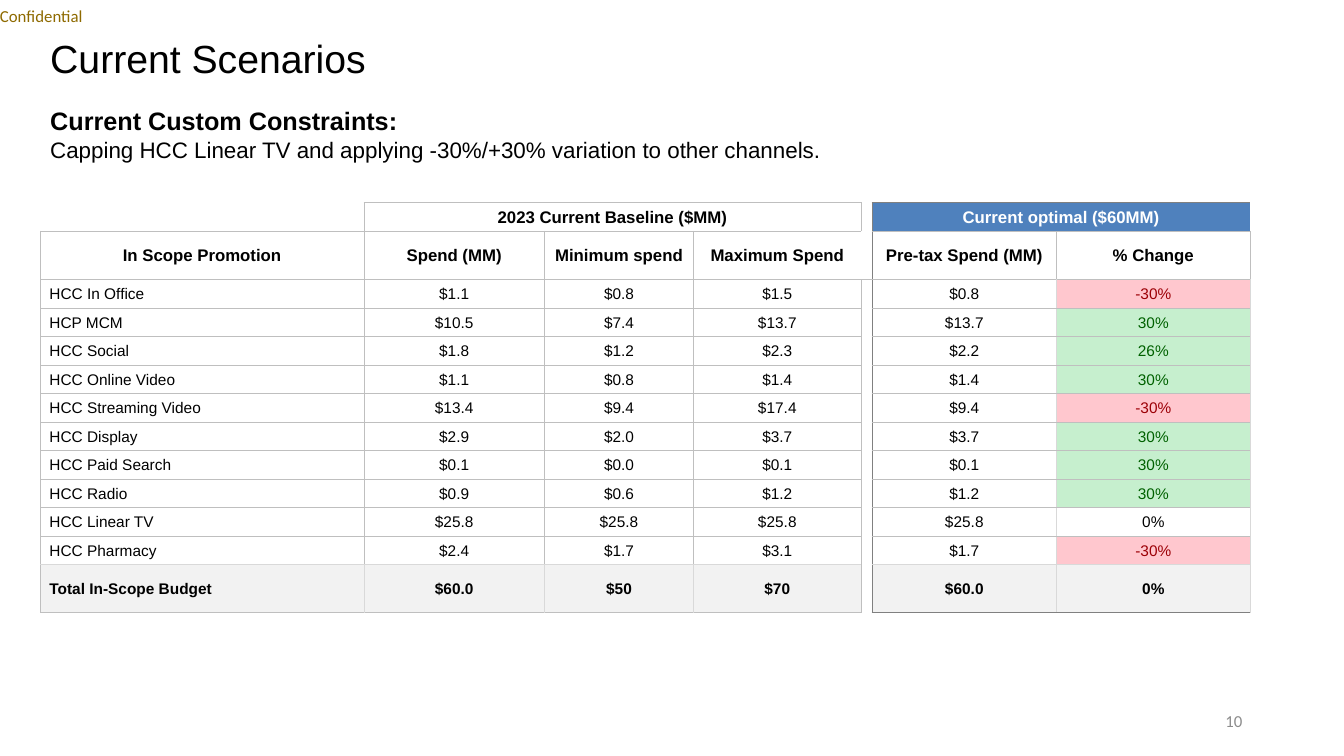
"""Build the Current Scenarios slide with its budget table."""
from lxml import etree
from pptx import Presentation, util as u
from pptx.dml.color import RGBColor
from pptx.enum import text as t
from pptx.oxml import ns

BLACK, GREY, PALE, DARK = "000000", "BFBFBF", "D9D9D9", "808080"
LEFT, CENTER, RIGHT = t.PP_ALIGN.LEFT, t.PP_ALIGN.CENTER, t.PP_ALIGN.RIGHT
TOP, MIDDLE = t.MSO_ANCHOR.TOP, t.MSO_ANCHOR.MIDDLE

TEXTS = [
    {"at": (0, 0, 1.17, 0.32), "inset": (0, 0, 0, 0), "anchor": MIDDLE, "align": LEFT,
     "lines": [("Confidential", {"name": "Calibri", "size": 12}, "8E6A00")]},
    {"at": (0.4, 0.4, 12, 0.4), "inset": (0.1, 0.05, 0.1, 0.05), "anchor": MIDDLE, "align": LEFT,
     "spacing": 0.9, "lines": [("Current Scenarios", {"name": "Arial", "size": 28}, BLACK)]},
    {"at": (9.42, 6.95, 3, 0.4), "inset": (0.1, 0.05, 0.1, 0.05), "anchor": MIDDLE, "align": RIGHT,
     "lines": [("10", {"name": "Calibri", "size": 12}, "8C8C8C")]},
    {"at": (0.4, 1, 12, 0.67), "inset": (0.1, 0.05, 0.1, 0.05), "anchor": TOP, "align": LEFT,
     "lines": [("Current Custom Constraints:", {"name": "Arial", "size": 18, "bold": True}, BLACK),
               ("Capping HCC Linear TV and applying -30%/+30% variation to other channels.",
                {"name": "Arial", "size": 16}, BLACK)]},
]
COLUMNS = [3.21, 1.79, 1.48, 1.66, 0.11, 1.83, 1.92]
GAP = 4
ROWS = [
    ("", "2023 Current Baseline ($MM)", "", "", "", "Current optimal ($60MM)", ""),
    ("In Scope Promotion", "Spend (MM)", "Minimum spend", "Maximum Spend", "",
     "Pre-tax Spend (MM)", "% Change"),
    ("HCC In Office", "$1.1", "$0.8", "$1.5", "", "$0.8", "-30%"),
    ("HCP MCM", "$10.5", "$7.4", "$13.7", "", "$13.7", "30%"),
    ("HCC Social", "$1.8", "$1.2", "$2.3", "", "$2.2", "26%"),
    ("HCC Online Video", "$1.1", "$0.8", "$1.4", "", "$1.4", "30%"),
    ("HCC Streaming Video", "$13.4", "$9.4", "$17.4", "", "$9.4", "-30%"),
    ("HCC Display", "$2.9", "$2.0", "$3.7", "", "$3.7", "30%"),
    ("HCC Paid Search", "$0.1", "$0.0", "$0.1", "", "$0.1", "30%"),
    ("HCC Radio", "$0.9", "$0.6", "$1.2", "", "$1.2", "30%"),
    ("HCC Linear TV", "$25.8", "$25.8", "$25.8", "", "$25.8", "0%"),
    ("HCC Pharmacy", "$2.4", "$1.7", "$3.1", "", "$1.7", "-30%"),
    ("Total In-Scope Budget", "$60.0", "$50", "$70", "", "$60.0", "0%"),
]
LAST = len(ROWS) - 1
TALL, TABLE_HEIGHT = 0.48, 4.07
SHORT = (TABLE_HEIGHT - 2 * TALL) / (len(ROWS) - 2)
MERGES = [(1, 3), (5, 6)]


def color(value):
    return RGBColor.from_string(value)


def write(para, words, look, tint, align):
    para.alignment = align
    span = para.add_run()
    span.text = words
    for key, value in look.items():
        setattr(span.font, key, u.Pt(value) if key == "size" else value)
    span.font.color.rgb = color(tint)


def set_margins(target, inset):
    for side, value in zip(("left", "top", "right", "bottom"), inset):
        setattr(target, "margin_" + side, u.Inches(value))


def add_text(page, item):
    frame = page.shapes.add_textbox(*map(u.Inches, item["at"])).text_frame
    frame.word_wrap = True
    frame.vertical_anchor = item["anchor"]
    set_margins(frame, item["inset"])
    for index, line in enumerate(item["lines"]):
        para = frame.add_paragraph() if index else frame.paragraphs[0]
        para.line_spacing = item.get("spacing", 1.0)
        write(para, *line, item["align"])


def vertical_line(row, edge):
    if row == 0:
        return {1: GREY, 4: GREY, 5: DARK}.get(edge)
    if edge == 5:
        return DARK
    if row == 1:
        return None if edge == 4 else GREY
    if edge > 5 or (row == LAST and edge in (1, 2, 3)):
        return PALE
    return GREY


def horizontal_line(edge, column):
    if column == GAP:
        return GREY if edge == 2 else None
    if edge == 0 and column == 0:
        return None
    if edge in (0, LAST + 1) and column > GAP:
        return DARK
    return PALE if edge == LAST else GREY


def add_border(cell, side, tint):
    attributes = {"w": str(u.Pt(0.5))} if tint else {"w": "0"}
    line = etree.SubElement(cell._tc.get_or_add_tcPr(), ns.qn("a:" + side), attributes)
    if tint:
        solid = etree.SubElement(line, ns.qn("a:solidFill"))
        etree.SubElement(solid, ns.qn("a:srgbClr"), val=tint)
    else:
        etree.SubElement(line, ns.qn("a:noFill"))


def cell_colors(row, column, words):
    if row == 0 and column > GAP:
        return "4F81BD", "FFFFFF"
    if row == LAST and column != GAP:
        return "F2F2F2", BLACK
    if 1 < row < LAST and column == 6 and words != "0%":
        return ("FFC7CE", "9C0006") if words.startswith("-") else ("C6EFCE", "006100")
    return None, BLACK


def fill_cell(cell, row, column, words):
    label = column == 0 and row > 1
    set_margins(cell, (0.09 if label else 0.01, 0.01, 0.01, 0))
    cell.vertical_anchor = MIDDLE
    for side, tint in (("lnL", vertical_line(row, column)),
                       ("lnR", vertical_line(row, column + 1)),
                       ("lnT", horizontal_line(row, column)),
                       ("lnB", horizontal_line(row + 1, column))):
        add_border(cell, side, tint)
    fill, ink = cell_colors(row, column, words)
    if fill:
        cell.fill.solid()
        cell.fill.fore_color.rgb = color(fill)
    else:
        cell.fill.background()
    para = cell.text_frame.paragraphs[0]
    if words:
        look = {"name": "Arial", "size": 12 if row < 2 else 11, "bold": row < 2 or row == LAST}
        write(para, words, look, ink, LEFT if label else CENTER)
    else:
        etree.SubElement(para._p, ns.qn("a:endParaRPr"), sz="1100")


def add_budget_table(page):
    place = map(u.Inches, (0.4, 2.01, sum(COLUMNS), TABLE_HEIGHT))
    table = page.shapes.add_table(len(ROWS), len(COLUMNS), *place).table
    table.first_row = table.horz_banding = False
    style = table._tbl.tblPr.find(ns.qn("a:tableStyleId"))
    style.text = "{2D5ABB26-0587-4C30-8999-92F81FD0307C}"
    for column, width in enumerate(COLUMNS):
        table.columns[column].width = u.Inches(width)
    for row, values in enumerate(ROWS):
        table.rows[row].height = u.Inches(TALL if row in (1, LAST) else SHORT)
        for column, words in enumerate(values):
            fill_cell(table.cell(row, column), row, column, words)
    for first, last in MERGES:
        table.cell(0, first).merge(table.cell(0, last))


def main():
    deck = Presentation()
    deck.slide_width, deck.slide_height = u.Inches(13.33), u.Inches(7.5)
    page = deck.slides.add_slide(deck.slide_layouts[6])
    for item in TEXTS:
        add_text(page, item)
    add_budget_table(page)
    deck.save("out.pptx")


if __name__ == "__main__":
    main()
